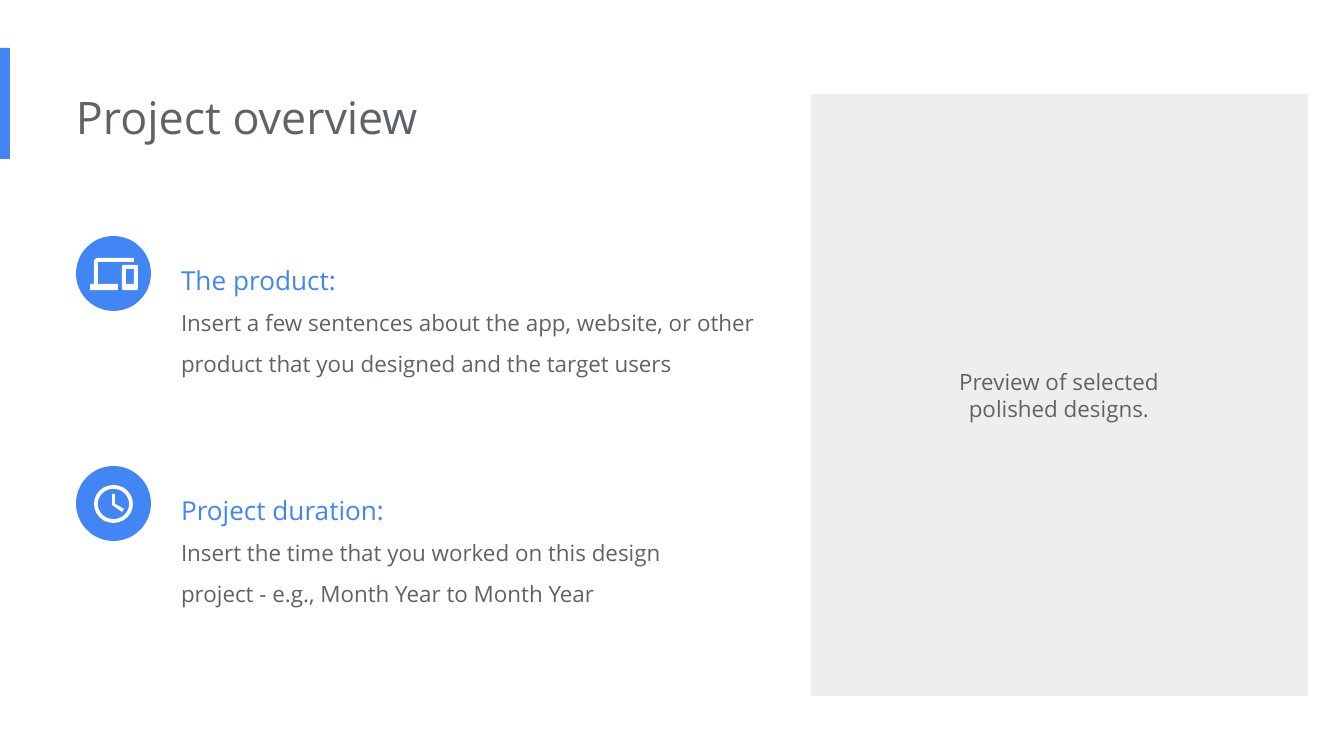
from dataclasses import dataclass

from lxml import etree
from pptx import Presentation
from pptx.dml.color import RGBColor
from pptx.enum.shapes import MSO_SHAPE
from pptx.enum.text import MSO_ANCHOR, MSO_AUTO_SIZE, PP_ALIGN
from pptx.oxml.ns import qn
from pptx.util import Emu, Pt

RECTANGLE = MSO_SHAPE.RECTANGLE
OVAL = MSO_SHAPE.OVAL
DONUT = MSO_SHAPE.DONUT
TOP = MSO_ANCHOR.TOP
NO_FIT = MSO_AUTO_SIZE.NONE
LEFT = PP_ALIGN.LEFT
CENTER = PP_ALIGN.CENTER

SCALE = 914400 / 134.4
FONT = "Open Sans"
COLORS = {"blue": "4285F4", "gray": "5F6368", "panel": "EEEEEE", "white": "FFFFFF"}
INSET = 13
ICON_LEFT = 76
ICON_SIZE = 75
TEXT_LEFT = 181
SECTION_HEIGHT = 195


@dataclass
class Line:
    text: str
    size: int
    color: str = "gray"


@dataclass
class Section:
    top: int
    width: int
    heading: str
    detail: str


SECTIONS = [
    Section(236, 601, "The product:",
            "Insert a few sentences about the app, website, or other "
            "product that you designed and the target users"),
    Section(466, 507, "Project duration:",
            "Insert the time that you worked on this design "
            "project - e.g., Month Year to Month Year"),
]
LAPTOP = [(98, 262), (134, 262), (134, 258), (97, 258), (95, 259), (94, 261),
          (94, 284), (90, 284), (90, 290), (118, 290), (118, 284), (98, 284)]
PHONE = [(123, 265), (137, 265), (138, 266), (138, 289), (137, 290),
         (123, 290), (122, 289), (122, 266)]
PHONE_SCREEN = [(126, 269), (126, 284), (134, 284), (134, 269)]
CLOCK_HANDS = [(112, 494), (112, 505), (122, 512), (124, 509), (115, 504), (115, 494)]


def px(value: int) -> Emu:
    return Emu(round(value * SCALE))


def paint(shape, color: str) -> None:
    shape.shadow.inherit = False
    shape.fill.solid()
    shape.fill.fore_color.rgb = RGBColor.from_string(COLORS[color])
    shape.line.fill.background()


def add_block(page, kind, left: int, top: int, width: int, height: int, color: str):
    shape = page.shapes.add_shape(kind, px(left), px(top), px(width), px(height))
    paint(shape, color)
    return shape


def add_outline(page, contours: list, color: str) -> None:
    builder = page.shapes.build_freeform(*contours[0][0], scale=SCALE)
    for index, points in enumerate(contours):
        if index:
            builder.move_to(*points[0])
        builder.add_line_segments(points[1:], close=True)
    paint(builder.convert_to_shape(), color)


def write_text(box, lines: list[Line], *, left: int, top: int, width: int, height: int,
               align=LEFT, spacing: float = 1.0, inset_left: int = 0) -> None:
    box.left, box.top, box.width, box.height = px(left), px(top), px(width), px(height)
    frame = box.text_frame
    frame.word_wrap = True
    frame.auto_size = NO_FIT
    frame.vertical_anchor = TOP
    frame.margin_left = px(inset_left)
    frame.margin_top = frame.margin_right = frame.margin_bottom = px(INSET)
    for index, line in enumerate(lines):
        para = frame.add_paragraph() if index else frame.paragraphs[0]
        para.alignment = align
        para.line_spacing = spacing
        para.space_before = para.space_after = Pt(0)
        properties = para._p.get_or_add_pPr()
        properties.set("marL", "0")
        properties.set("indent", "0")
        etree.SubElement(properties, qn("a:buNone"))
        span = para.add_run()
        span.text = line.text
        span.font.name = FONT
        span.font.size = Pt(line.size)
        span.font.color.rgb = RGBColor.from_string(COLORS[line.color])


def build() -> None:
    deck = Presentation()
    deck.slide_width, deck.slide_height = px(1344), px(756)
    page = deck.slides.add_slide(deck.slide_layouts.get_by_name("Two Content"))
    title, *bodies = list(page.placeholders)[:3]

    add_block(page, RECTANGLE, 0, 48, 10, 111, "blue")
    add_block(page, RECTANGLE, 811, 94, 497, 602, "panel")
    write_text(title, [Line("Project overview", 24)],
               left=ICON_LEFT, top=77, width=905, height=81)

    for section, body in zip(SECTIONS, bodies):
        add_block(page, OVAL, ICON_LEFT, section.top, ICON_SIZE, ICON_SIZE, "blue")
        write_text(body, [Line(section.heading, 14, "blue"), Line(section.detail, 12)],
                   left=TEXT_LEFT, top=section.top, width=section.width,
                   height=SECTION_HEIGHT, spacing=1.5)

    add_outline(page, [LAPTOP, PHONE, PHONE_SCREEN], "white")
    clock_ring = add_block(page, DONUT, 94, 485, 39, 38, "white")
    clock_ring.adjustments[0] = 0.1
    add_outline(page, [CLOCK_HANDS], "white")

    preview = page.shapes.add_textbox(0, 0, 0, 0)
    write_text(preview, [Line("Preview of selected polished designs.", 12)],
               left=926, top=355, width=266, height=81, align=CENTER, inset_left=INSET)
    deck.save("out.pptx")


build()
